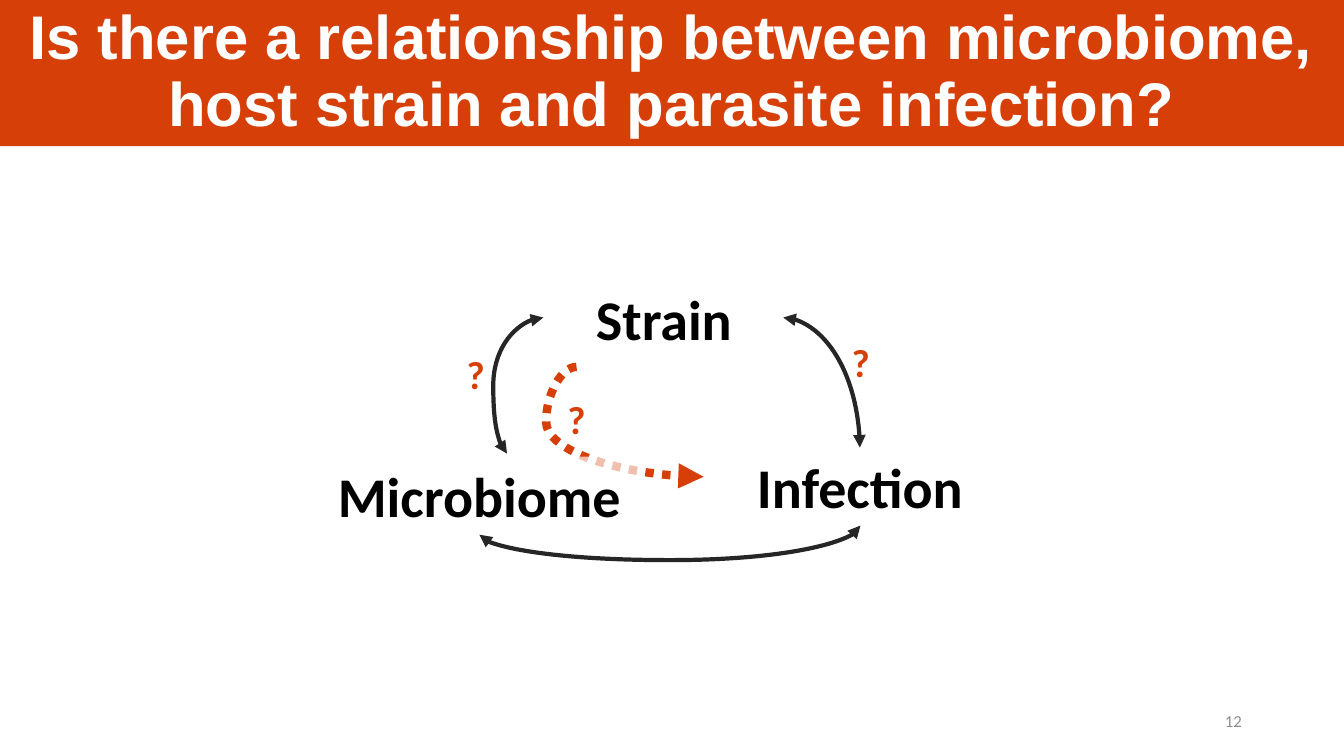
from pptx import Presentation
from pptx.dml.color import RGBColor as RGB
from pptx.enum.dml import MSO_LINE as Dash
from pptx.enum.shapes import MSO_CONNECTOR as Link
from pptx.enum.text import MSO_ANCHOR as Anchor, MSO_AUTO_SIZE as Fit, PP_ALIGN as Align
from pptx.oxml.ns import qn
from pptx.util import Inches, Pt
from lxml.etree import SubElement as sub

HUES = {"orange": "D73F09", "white": "FFFFFF", "black": "000000",
        "dark": "262626", "grey": "8C8C8C"}

deck = Presentation()
deck.slide_width, deck.slide_height = Inches(13.33), Inches(7.5)
slide = deck.slides.add_slide(deck.slide_layouts[5])
shapes = slide.shapes


def place(x, y):
    """Turn percent of the slide's width and height into lengths."""
    return int(deck.slide_width * x / 100), int(deck.slide_height * y / 100)


def write(box, text, size, hue="black", font="Calibri", bold=True,
          align=Align.CENTER, anchor=Anchor.TOP, lead=1.0):
    frame = box.text_frame
    frame.auto_size = Fit.NONE
    frame.word_wrap = True
    frame.vertical_anchor = anchor
    para = frame.paragraphs[0]
    para.alignment = align
    para.line_spacing = lead
    run = para.add_run()
    run.text = text
    run.font.name, run.font.size, run.font.bold = font, Pt(size), bold
    run.font.color.rgb = RGB.from_string(HUES[hue])


# Title band
title = shapes.title
title.left, title.top = 0, 0
title.width, title.height = place(100, 19.33)
title.fill.solid()
title.fill.fore_color.rgb = RGB.from_string(HUES["orange"])
write(title, "Is there a relationship between microbiome, host strain and parasite infection?",
      44, "white", "Arial", anchor=Anchor.MIDDLE, lead=0.9)

# Curved arrows: start, end, preset, bend, turn in degrees, dotted
curves = [
    ((58.28, 42), (63.98, 59.2), "curvedConnector2", None, 0, False),
    ((50.18, 95.33), (49.5, 44.93), "curvedConnector3", -2.79, 90, False),
    ((40.43, 42), (37.73, 60), "curvedConnector3", 1.38, 0, False),
    ((42.9, 48.53), (52.35, 63.07), "curvedConnector3", -0.24, 0, True),
]
for start, end, preset, bend, turn, dotted in curves:
    curve = shapes.add_connector(Link.CURVE, *place(*start), *place(*end))
    props = curve._element.spPr
    if turn:
        props.find(qn("a:xfrm")).set("rot", str(turn * 60000))
    geom = props.find(qn("a:prstGeom"))
    geom.set("prst", preset)
    if bend is not None:
        sub(geom.find(qn("a:avLst")), qn("a:gd"), name="adj1",
            fmla=f"val {round(bend * 100000)}")
    line = curve.line
    line.width = Pt(6 if dotted else 3)
    line.color.rgb = RGB.from_string(HUES["orange" if dotted else "dark"])
    if dotted:
        line.dash_style = Dash.ROUND_DOT
    for tip in ["tailEnd"] if dotted else ["headEnd", "tailEnd"]:
        sub(props.find(qn("a:ln")), qn(f"a:{tip}"), type="triangle")
    sub(props, qn("a:effectLst"))

# Factors
factors = [("Strain", 40.43, 36.93, 17.93), ("Infection", 52.73, 59.2, 22.5),
           ("Microbiome", 23.7, 60.4, 23.93)]
for name, x, y, wide in factors:
    box = shapes.add_textbox(*place(x, y), *place(wide, 10.27))
    write(box, name, 40)

# The last factor, Microbiome, has a see-through white ground
box.fill.solid()
box.fill.fore_color.rgb = RGB.from_string(HUES["white"])
tint = box._element.spPr.find(qn("a:solidFill"))[0]
sub(tint, qn("a:alpha"), val="67000")

# Open questions
for x, y in [(41.48, 51.6), (33.98, 45.73), (62.63, 44.13)]:
    box = shapes.add_textbox(*place(x, y), *place(3.3, 7.6))
    write(box, "?", 28, "orange", align=Align.LEFT)

# Slide number
box = shapes.add_textbox(*place(70.65, 92.67), *place(22.5, 5.33))
write(box, "12", 12, "grey", bold=False, align=Align.RIGHT, anchor=Anchor.MIDDLE)

deck.save("out.pptx")
